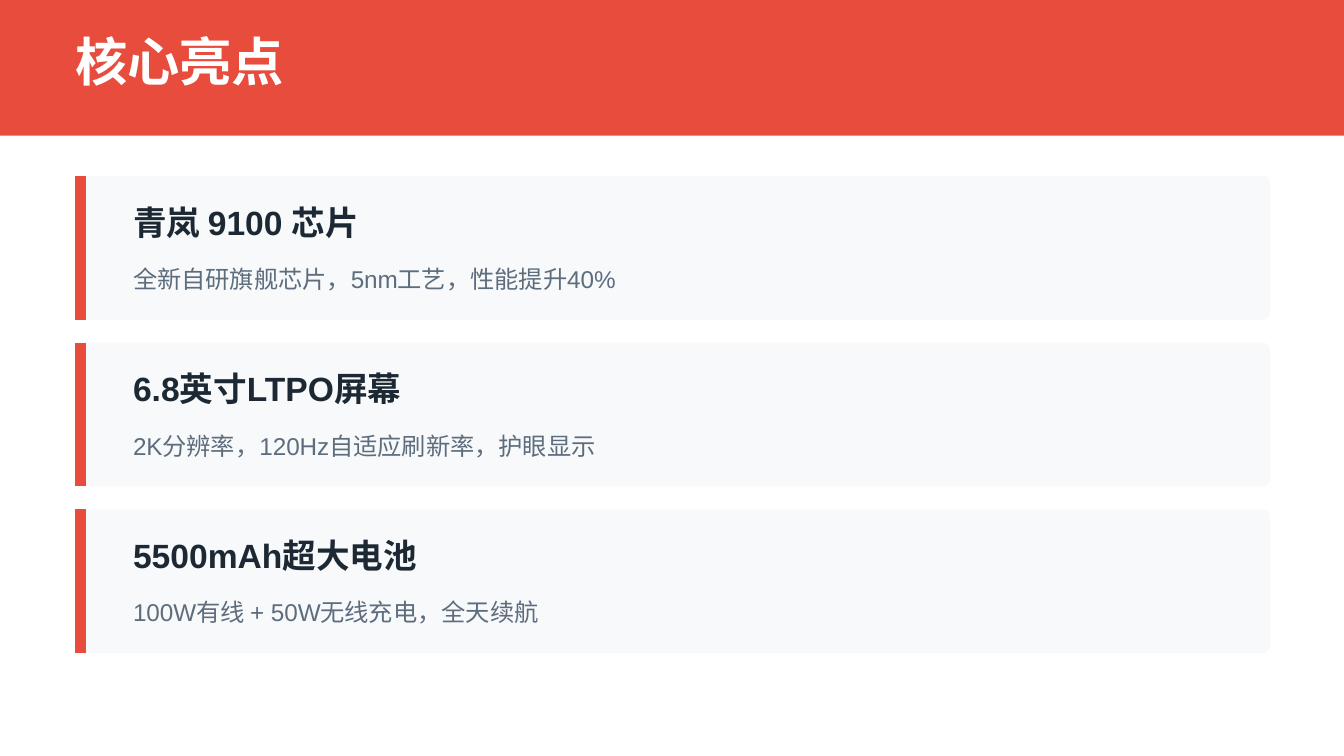
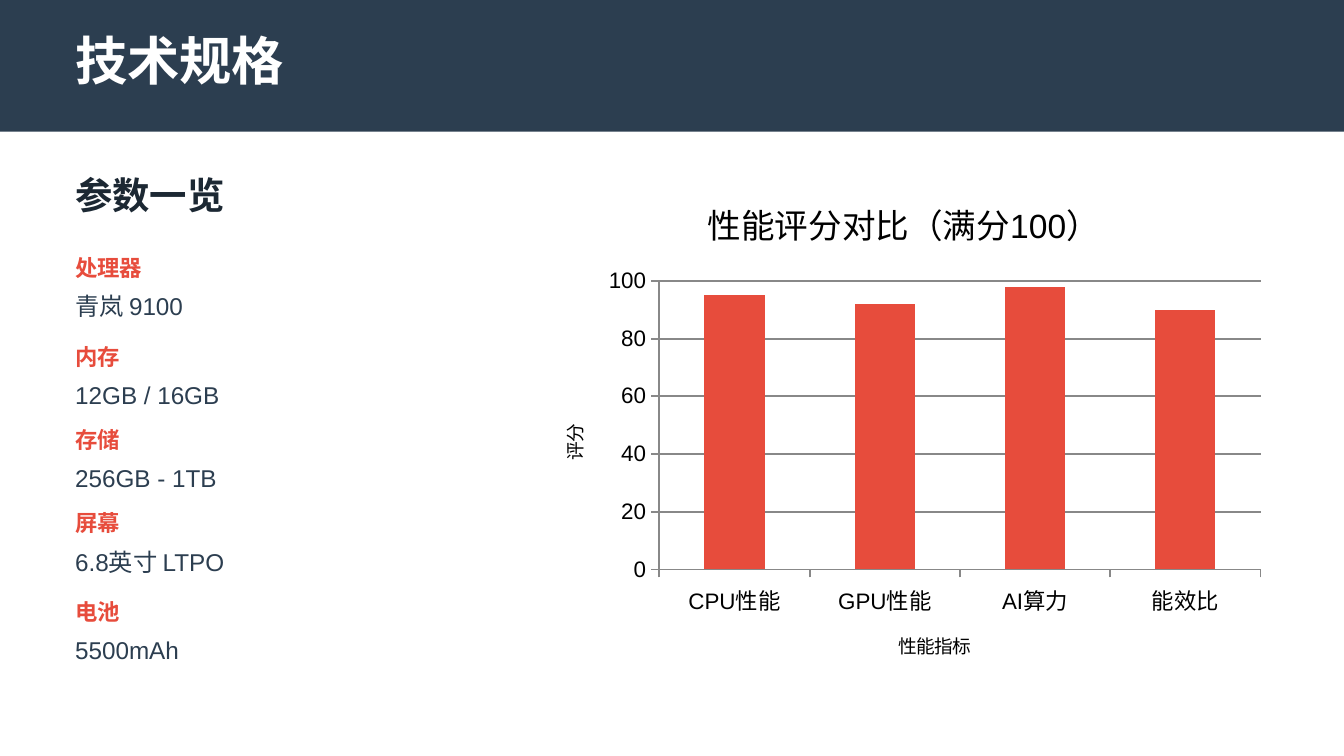
"""Build two product slides: the core highlights and the technical specifications."""
from lxml import etree
from pptx import Presentation
from pptx.chart.data import CategoryChartData
from pptx.dml.color import RGBColor
from pptx.enum.chart import XL_CHART_TYPE, XL_TICK_LABEL_POSITION, XL_TICK_MARK
from pptx.enum.shapes import MSO_CONNECTOR, MSO_SHAPE
from pptx.oxml.ns import qn
from pptx.util import Inches, Pt

COLUMN_CLUSTERED = XL_CHART_TYPE.COLUMN_CLUSTERED
LABELS_LOW = XL_TICK_LABEL_POSITION.LOW
TICK_OUTSIDE = XL_TICK_MARK.OUTSIDE
TICK_NONE = XL_TICK_MARK.NONE
STRAIGHT = MSO_CONNECTOR.STRAIGHT
RECTANGLE = MSO_SHAPE.RECTANGLE
ROUNDED_RECTANGLE = MSO_SHAPE.ROUNDED_RECTANGLE

FONT = "Arial"
COLORS = {
    "white": "FFFFFF",
    "red": "E74C3C",
    "navy": "2C3E50",
    "ink": "1C2833",
    "slate": "5D6D7E",
    "card": "F8F9FA",
    "axis": "888888",
    "black": "000000",
}
SLIDE_WIDTH = 10
SLIDE_HEIGHT = SLIDE_WIDTH * 9 / 16
MARGIN = 0.56

CARD_TOP, CARD_WIDTH, CARD_HEIGHT, CARD_STEP = 1.31, 8.89, 1.07, 1.24
HIGHLIGHTS = [
    ("青岚 9100 芯片", "全新自研旗舰芯片，5nm工艺，性能提升40%"),
    ("6.8英寸LTPO屏幕", "2K分辨率，120Hz自适应刷新率，护眼显示"),
    ("5500mAh超大电池", "100W有线 + 50W无线充电，全天续航"),
]

SPECS_TOP, SPECS_WIDTH = 1.89, 3.12
LATIN_HEIGHT, CHINESE_HEIGHT = 0.22, 0.26
SPECS = [
    ("处理器", "青岚 9100", CHINESE_HEIGHT),
    ("内存", "12GB / 16GB", LATIN_HEIGHT),
    ("存储", "256GB - 1TB", LATIN_HEIGHT),
    ("屏幕", "6.8英寸 LTPO", CHINESE_HEIGHT),
    ("电池", "5500mAh", LATIN_HEIGHT),
]
SCORES = {"CPU性能": 95, "GPU性能": 92, "AI算力": 98, "能效比": 90}


def rgb(name):
    """Return the named colour."""
    return RGBColor.from_string(COLORS[name])


def style_font(font, size, color, bold=False):
    """Apply the shared typeface with a size, colour and weight."""
    font.name = FONT
    font.size = Pt(size)
    font.bold = bold
    font.color.rgb = rgb(color)


def add_text(slide, text, left, top, width, height, size, color,
             bold=False, space_after=0, line_spacing=None):
    """Add a one-paragraph text box without insets."""
    box = slide.shapes.add_textbox(
        Inches(left), Inches(top), Inches(width), Inches(height))
    frame = box.text_frame
    frame.word_wrap = True
    frame.margin_left = frame.margin_right = 0
    frame.margin_top = frame.margin_bottom = 0
    paragraph = frame.paragraphs[0]
    paragraph.space_after = Pt(space_after)
    if line_spacing:
        paragraph.line_spacing = Pt(line_spacing)
    run = paragraph.add_run()
    run.text = text
    style_font(run.font, size, color, bold)


def add_block(slide, kind, left, top, width, height, color):
    """Add a flat filled shape without outline or shadow."""
    shape = slide.shapes.add_shape(
        kind, Inches(left), Inches(top), Inches(width), Inches(height))
    shape.shadow.inherit = False
    shape.fill.solid()
    shape.fill.fore_color.rgb = rgb(color)
    shape.line.fill.background()
    return shape


def add_titled_slide(presentation, title, band_color, band_height, title_top):
    """Add a blank slide with a coloured title band."""
    slide = presentation.slides.add_slide(presentation.slide_layouts[6])
    slide.background.fill.solid()
    slide.background.fill.fore_color.rgb = rgb("white")
    add_block(slide, RECTANGLE, 0, 0, SLIDE_WIDTH, band_height, band_color)
    add_text(slide, title, MARGIN, title_top, 9.07, 0.56, 28, "white", bold=True)
    return slide


def add_accent(slide, left, top, height):
    """Add the thick vertical line at the edge of a card."""
    line = slide.shapes.add_connector(
        STRAIGHT, Inches(left), Inches(top), Inches(left), Inches(top + height))
    line.line.color.rgb = rgb("red")
    line.line.width = Pt(6)
    etree.SubElement(line._element.spPr, qn("a:effectLst"))


def add_card(slide, top, heading, detail):
    """Add a highlight card with its heading and detail."""
    card = add_block(slide, ROUNDED_RECTANGLE, MARGIN, top,
                     CARD_WIDTH, CARD_HEIGHT, "card")
    card.adjustments[0] = 0.05
    add_accent(slide, 0.6, top, CARD_HEIGHT)
    add_text(slide, heading, 0.99, top + 0.19, 8.27, 0.36, 18, "ink",
             bold=True, space_after=6)
    add_text(slide, detail, 0.99, top + 0.64, 8.27, 0.23, 13, "slate",
             line_spacing=16.9)


def add_specs(slide):
    """Add the parameter list, each label above its value."""
    add_text(slide, "参数一览", MARGIN, 1.28, SPECS_WIDTH, 0.41, 20, "ink",
             bold=True, space_after=14)
    top = SPECS_TOP
    for label, value, height in SPECS:
        add_text(slide, label, MARGIN, top, SPECS_WIDTH, 0.25, 12, "red",
                 bold=True, space_after=2)
        add_text(slide, value, MARGIN, top + 0.28, SPECS_WIDTH, height, 13, "navy")
        top += height + 0.4


def set_title(title, text, size):
    """Write the title of a chart or an axis and return its text frame."""
    frame = title.text_frame
    run = frame.paragraphs[0].add_run()
    run.text = text
    style_font(run.font, size, "black")
    return frame


def style_line(line):
    """Draw an axis or grid line in thin grey."""
    line.color.rgb = rgb("axis")
    line.width = Pt(1)


def style_axis(axis, title):
    """Style an axis and return the text frame of its title."""
    axis.major_tick_mark = TICK_OUTSIDE
    axis.minor_tick_mark = TICK_NONE
    style_font(axis.tick_labels.font, 12, "black")
    style_line(axis.format.line)
    return set_title(axis.axis_title, title, 10)


def add_score_chart(slide):
    """Add the column chart of performance scores."""
    data = CategoryChartData()
    data.categories = list(SCORES)
    data.add_series("Series 1", list(SCORES.values()))
    chart = slide.shapes.add_chart(
        COLUMN_CLUSTERED, Inches(3.96), Inches(1.28),
        Inches(5.53), Inches(3.83), data).chart
    chart.font.name = "Calibri"
    chart.font.size = Pt(10)
    chart.font.color.rgb = rgb("black")
    chart.has_legend = False
    set_title(chart.chart_title, "性能评分对比（满分100）", 18)

    plot = chart.plots[0]
    plot.gap_width = 150
    plot.vary_by_categories = False
    series = plot.series[0]
    series.format.fill.solid()
    series.format.fill.fore_color.rgb = rgb("red")

    style_axis(chart.category_axis, "性能指标")
    chart.category_axis.tick_label_position = LABELS_LOW

    value_axis = chart.value_axis
    title_frame = style_axis(value_axis, "评分")
    title_frame._txBody.bodyPr.set("rot", "-5400000")
    value_axis.minimum_scale = 0
    value_axis.maximum_scale = 100
    value_axis.major_unit = 20
    value_axis.has_major_gridlines = True
    style_line(value_axis.major_gridlines.format.line)


def main():
    """Build and save the presentation."""
    presentation = Presentation()
    presentation.slide_width = Inches(SLIDE_WIDTH)
    presentation.slide_height = Inches(SLIDE_HEIGHT)

    highlights = add_titled_slide(presentation, "核心亮点", "red", 1.01, 0.22)
    for index, (heading, detail) in enumerate(HIGHLIGHTS):
        add_card(highlights, CARD_TOP + index * CARD_STEP, heading, detail)

    specifications = add_titled_slide(presentation, "技术规格", "navy", 0.98, 0.21)
    add_specs(specifications)
    add_score_chart(specifications)

    presentation.save("out.pptx")


if __name__ == "__main__":
    main()
